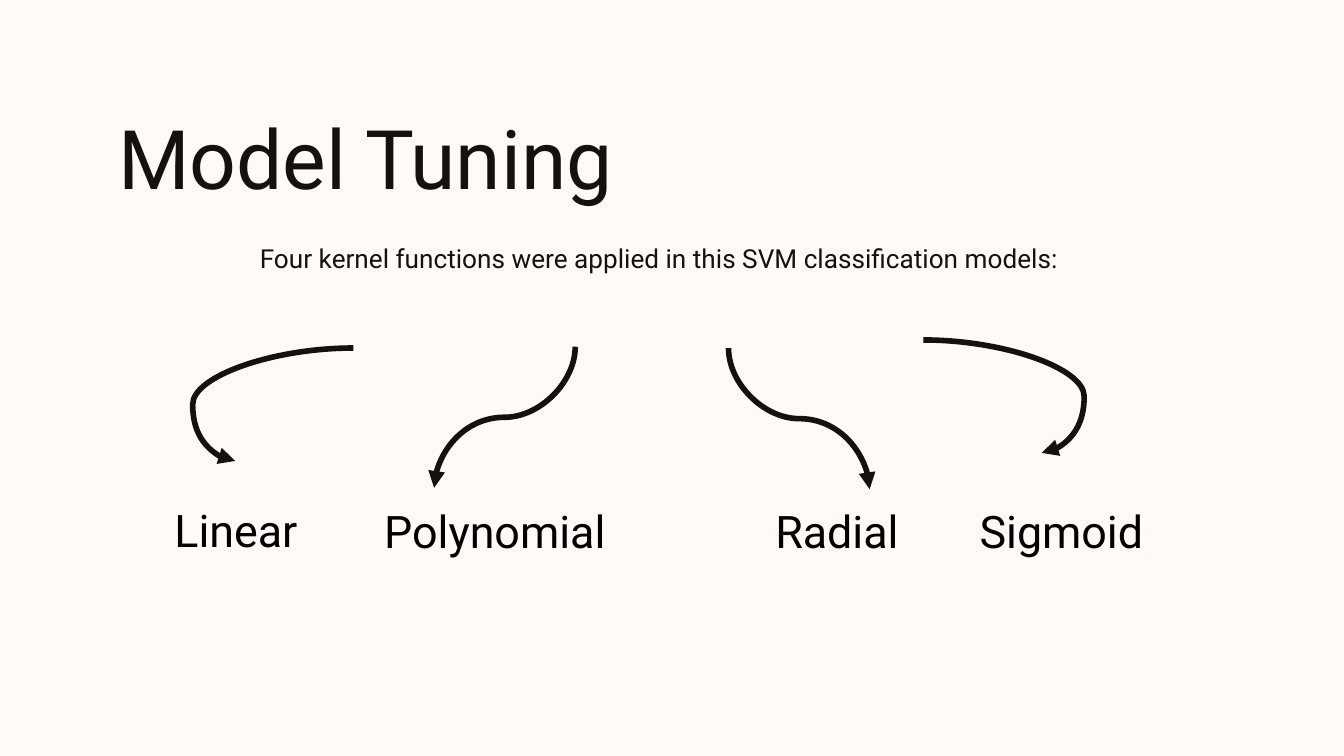
from dataclasses import dataclass

from lxml import etree
from pptx import Presentation
from pptx.dml.color import RGBColor
from pptx.enum import shapes, text
from pptx.oxml import ns
from pptx.util import Inches, Pt

COLORS = {"background": "FFFAF6", "ink": "15110E", "label": "000000"}
FONT = "Roboto"


@dataclass
class Label:
    caption: str
    left: float
    top: float = 3.64
    width: float = 1.98
    height: float = 0.61


@dataclass
class CurvedArrow:
    """Box before rotation, with the flips and the bend of the curve."""
    left: float
    top: float
    width: float
    height: float
    rotation: int
    flip_h: bool
    flip_v: bool
    bend: float


LABELS = [
    Label("Linear", 1.2, top=3.63, width=1.23),
    Label("Polynomial", 2.76),
    Label("Radial", 5.67),
    Label("Sigmoid", 7.19),
]
ARROWS = [
    CurvedArrow(1.75, 2.59, 0.88, 0.84, 180, False, True, 1.36),
    CurvedArrow(6.87, 2.53, 0.88, 0.84, 180, True, True, 1.36),
    CurvedArrow(3.23, 2.58, 1.05, 1.05, 90, False, False, 0.5),
    CurvedArrow(5.42, 2.59, 1.05, 1.05, 270, True, False, 0.5),
]


def remove_bullet(paragraph) -> None:
    properties = paragraph._p.get_or_add_pPr()
    properties.set("marL", "0")
    properties.set("indent", "0")
    etree.SubElement(properties, ns.qn("a:buNone"))


def write_text(shape, caption: str, size: int, color: str, alignment, anchor) -> None:
    frame = shape.text_frame
    frame.text = caption
    frame.word_wrap = True
    frame.auto_size = text.MSO_AUTO_SIZE.NONE
    frame.vertical_anchor = anchor
    frame.margin_left = frame.margin_right = Inches(0.1)
    frame.margin_top = frame.margin_bottom = Inches(0.1)
    paragraph = frame.paragraphs[0]
    remove_bullet(paragraph)
    paragraph.alignment = alignment
    paragraph.space_before = Pt(0)
    paragraph.font.name = FONT
    paragraph.font.size = Pt(size)
    paragraph.font.color.rgb = RGBColor.from_string(COLORS[color])


def place(shape, left: float, top: float, width: float, height: float) -> None:
    shape.left, shape.top = Inches(left), Inches(top)
    shape.width, shape.height = Inches(width), Inches(height)


def draw_arrow(slide, arrow: CurvedArrow) -> None:
    x = [arrow.left, arrow.left + arrow.width]
    y = [arrow.top, arrow.top + arrow.height]
    if arrow.flip_h:
        x.reverse()
    if arrow.flip_v:
        y.reverse()
    connector = slide.shapes.add_connector(
        shapes.MSO_CONNECTOR.CURVE,
        Inches(x[0]), Inches(y[0]), Inches(x[1]), Inches(y[1]))
    connector.line.width = Pt(3)
    connector.line.color.rgb = RGBColor.from_string(COLORS["ink"])

    # Rotation, bend, arrowhead and no shadow
    properties = connector._element.spPr
    properties.find(ns.qn("a:xfrm")).set("rot", str(arrow.rotation * 60000))
    geometry = properties.find(ns.qn("a:prstGeom"))
    adjustments = geometry.find(ns.qn("a:avLst"))
    etree.SubElement(adjustments, ns.qn("a:gd"), name="adj1",
                     fmla=f"val {round(arrow.bend * 100000)}")
    line = properties.find(ns.qn("a:ln"))
    etree.SubElement(line, ns.qn("a:tailEnd"), type="triangle")
    etree.SubElement(properties, ns.qn("a:effectLst"))


def draw_label(slide, label: Label) -> None:
    box = slide.shapes.add_textbox(
        Inches(label.left), Inches(label.top), Inches(label.width), Inches(label.height))
    write_text(box, label.caption, 24, "label",
               text.PP_ALIGN.LEFT, text.MSO_ANCHOR.BOTTOM)


def main() -> None:
    # Widescreen slide, 16:9
    presentation = Presentation()
    presentation.slide_width = Inches(10)
    presentation.slide_height = Inches(10) * 9 // 16
    slide = presentation.slides.add_slide(presentation.slide_layouts[1])
    background = slide.background.fill
    background.solid()
    background.fore_color.rgb = RGBColor.from_string(COLORS["background"])

    # Title and introduction
    title, body = slide.shapes.title, slide.placeholders[1]
    place(title, 0.78, 0.65, 7.23, 0.98)
    write_text(title, "Model Tuning", 44, "ink",
               text.PP_ALIGN.LEFT, text.MSO_ANCHOR.BOTTOM)
    place(body, 0.78, 1.7, 8.25, 0.88)
    write_text(body, "Four kernel functions were applied in this SVM classification models:",
               14, "ink", text.PP_ALIGN.CENTER, text.MSO_ANCHOR.TOP)

    # Arrows to the kernel names
    for arrow in ARROWS:
        draw_arrow(slide, arrow)
    for label in LABELS:
        draw_label(slide, label)

    presentation.save("out.pptx")


if __name__ == "__main__":
    main()
